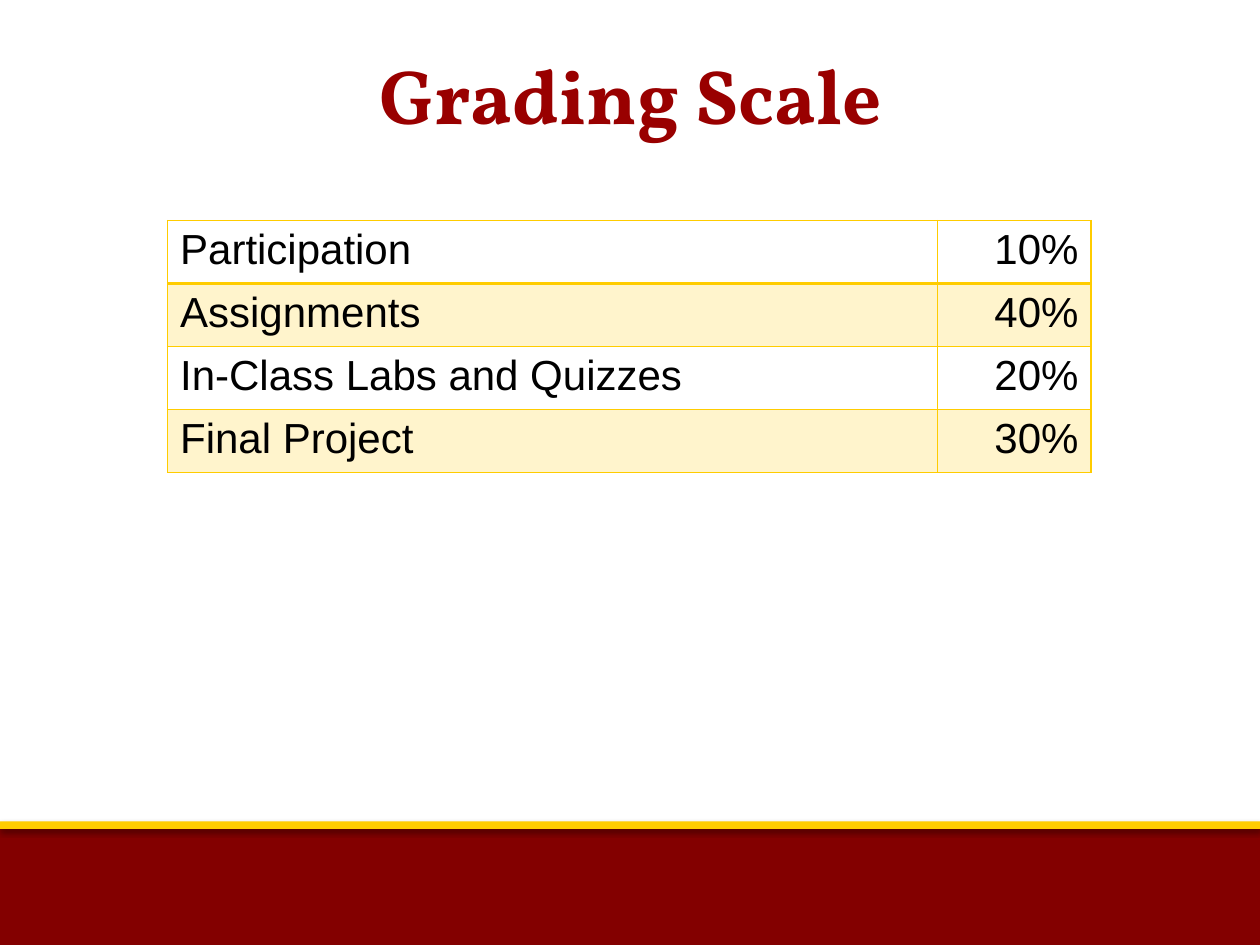
from dataclasses import dataclass

from lxml import etree
from pptx import Presentation
from pptx import util as u
from pptx.dml.color import RGBColor
from pptx.enum import shapes, text
from pptx.oxml import ns

GOLD = RGBColor(0xFF, 0xCC, 0x00)
MAROON = RGBColor(0x83, 0x00, 0x00)
CRIMSON = RGBColor(0x99, 0x00, 0x00)
BLACK = RGBColor(0, 0, 0)

WIDTH, HEIGHT = u.Inches(10), u.Inches(7.5)
ROW_HEIGHT = u.Inches(0.49)
COLUMN_WIDTHS = (u.Inches(6.11), u.Inches(1.22))


@dataclass(frozen=True)
class Band:
    top: float
    height: float
    color: RGBColor
    shadow_distance: float
    shadow_percent: int


@dataclass(frozen=True)
class Grade:
    component: str
    weight: str


BANDS = (
    Band(6.57, 0.93, MAROON, 1.8, 35),
    Band(6.52, 0.06, GOLD, 1.6, 38),
)
GRADES = (
    Grade("Participation", "10%"),
    Grade("Assignments", "40%"),
    Grade("In-Class Labs and Quizzes", "20%"),
    Grade("Final Project", "30%"),
)


def add_child(parent, tag: str, **attributes):
    return etree.SubElement(
        parent, ns.qn(tag), {key: str(value) for key, value in attributes.items()}
    )


def draw_band(slide, band: Band) -> None:
    bar = slide.shapes.add_shape(
        shapes.MSO_SHAPE.RECTANGLE, 0, u.Inches(band.top), WIDTH, u.Inches(band.height)
    )
    bar.fill.solid()
    bar.fill.fore_color.rgb = band.color
    bar.line.fill.background()
    bar.shadow.inherit = False
    effects = bar.element.spPr.find(ns.qn("a:effectLst"))
    shadow = add_child(
        effects, "a:outerShdw", blurRad=u.Pt(3.1), dist=u.Pt(band.shadow_distance),
        dir=90 * 60000, rotWithShape=0,
    )
    tint = add_child(shadow, "a:srgbClr", val=BLACK)
    add_child(tint, "a:alpha", val=band.shadow_percent * 1000)


def style_text(paragraph, font: str, size: int, color: RGBColor, bold: bool = False) -> None:
    for run in paragraph.runs:
        run.font.name = font
        run.font.size = u.Pt(size)
        run.font.color.rgb = color
        run.font.bold = bold


def draw_title(slide, wording: str) -> None:
    title = slide.shapes.add_textbox(
        u.Inches(0.17), u.Inches(0.12), u.Inches(9.67), u.Inches(1.25)
    )
    frame = title.text_frame
    frame.word_wrap = True
    frame.vertical_anchor = text.MSO_ANCHOR.MIDDLE
    frame.text = wording
    heading = frame.paragraphs[0]
    heading.alignment = text.PP_ALIGN.CENTER
    style_text(heading, "Vollkorn", 44, CRIMSON, bold=True)


def set_borders(cell, top: float, bottom: float) -> None:
    properties = cell._tc.get_or_add_tcPr()
    for side, points in (("L", 1), ("R", 1), ("T", top), ("B", bottom)):
        border = add_child(properties, f"a:ln{side}", w=u.Pt(points))
        add_child(add_child(border, "a:solidFill"), "a:srgbClr", val=GOLD)


def shade(cell, shaded: bool) -> None:
    if not shaded:
        cell.fill.background()
        return
    cell.fill.solid()
    cell.fill.fore_color.rgb = GOLD
    tint = cell._tc.tcPr.find(ns.qn("a:solidFill")).find(ns.qn("a:srgbClr"))
    add_child(tint, "a:alpha", val=20000)


def draw_grades(slide, grades: tuple[Grade, ...]) -> None:
    scale = slide.shapes.add_table(
        len(grades), len(COLUMN_WIDTHS), u.Inches(1.33), u.Inches(1.75),
        sum(COLUMN_WIDTHS), ROW_HEIGHT * len(grades),
    ).table
    scale.first_row = scale.horz_banding = False
    for column, width in zip(scale.columns, COLUMN_WIDTHS):
        column.width = width
    alignments = (text.PP_ALIGN.LEFT, text.PP_ALIGN.RIGHT)
    for index, grade in enumerate(grades):
        scale.rows[index].height = ROW_HEIGHT
        for column, wording in enumerate((grade.component, grade.weight)):
            cell = scale.cell(index, column)
            cell.text_frame.text = wording
            entry = cell.text_frame.paragraphs[0]
            entry.alignment = alignments[column]
            style_text(entry, "Arial", 24, BLACK)
            set_borders(cell, 2 if index == 1 else 1, 2 if index == 0 else 1)
            shade(cell, index % 2 == 1)


deck = Presentation()
deck.slide_width, deck.slide_height = WIDTH, HEIGHT
grading = deck.slides.add_slide(deck.slide_layouts[6])
for band in BANDS:
    draw_band(grading, band)
draw_title(grading, "Grading Scale")
draw_grades(grading, GRADES)
deck.save("out.pptx")
